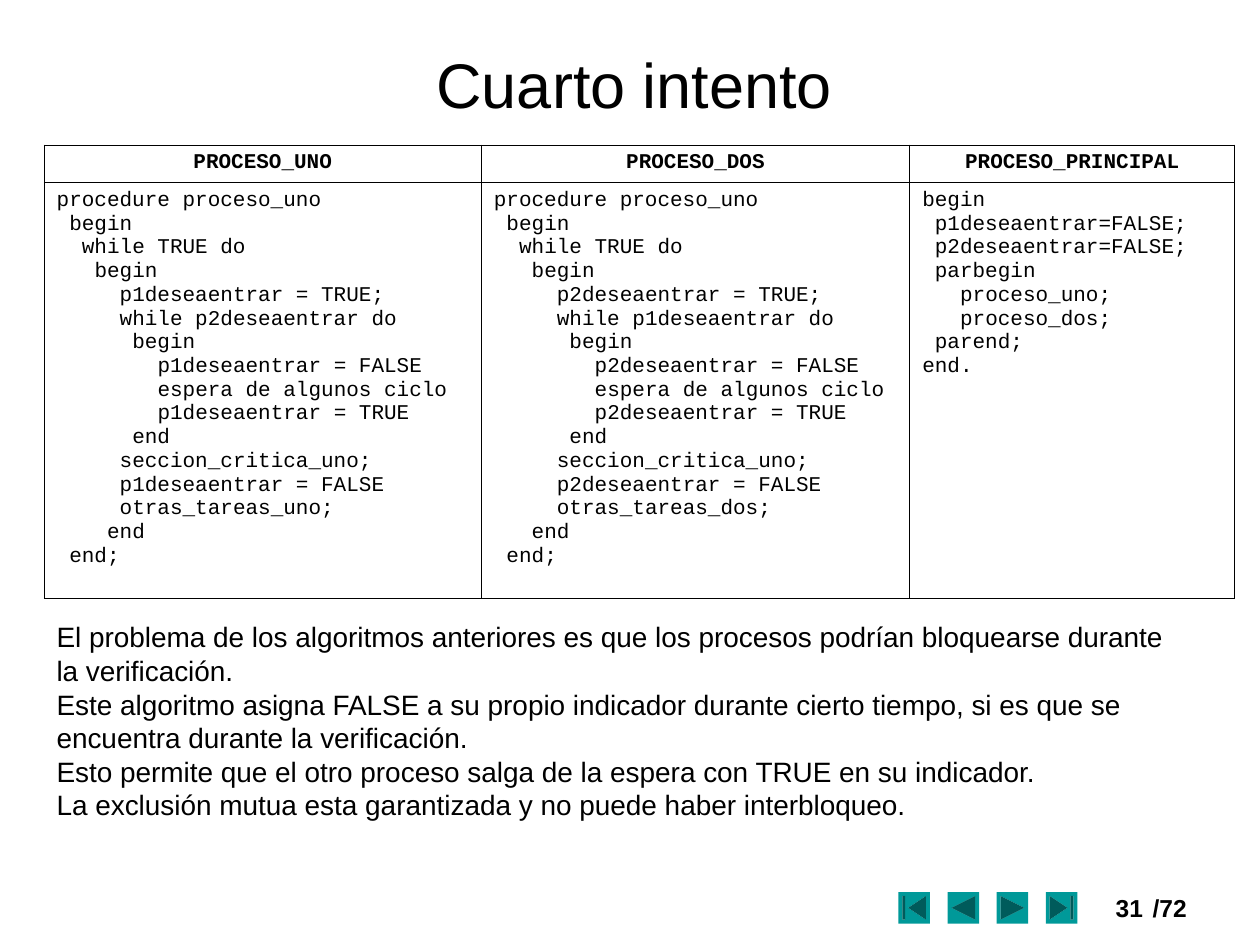
from lxml.etree import SubElement
from pptx import Presentation
from pptx.dml.color import RGBColor
from pptx.enum.shapes import MSO_SHAPE as Shape
from pptx.enum.text import MSO_ANCHOR as Anchor, PP_ALIGN as Align
from pptx.oxml.ns import qn
from pptx.util import Inches, Pt

BLACK = RGBColor(0x00, 0x00, 0x00)
TEAL = RGBColor(0x00, 0x99, 0x99)
CHARACTER_WIDTH = 0.1
COLUMN_WIDTHS = (3.47, 3.4, 2.58)
ROW_HEIGHTS = (0.3, 3.3)
HEADINGS = ("PROCESO_UNO", "PROCESO_DOS", "PROCESO_PRINCIPAL")
MAIN_CODE = (
    (0, "begin"),
    (1, "p1deseaentrar=FALSE;"),
    (1, "p2deseaentrar=FALSE;"),
    (1, "parbegin"),
    (3, "proceso_uno;"),
    (3, "proceso_dos;"),
    (1, "parend;"),
    (0, "end."),
)
EXPLANATION = (
    "El problema de los algoritmos anteriores es que los procesos podrían "
    "bloquearse durante la verificación.",
    "Este algoritmo asigna FALSE a su propio indicador durante cierto tiempo, "
    "si es que se encuentra durante la verificación.",
    "Esto permite que el otro proceso salga de la espera con TRUE en su indicador.",
    "La exclusión mutua esta garantizada y no puede haber interbloqueo.",
)
BUTTONS = (
    Shape.ACTION_BUTTON_BEGINNING,
    Shape.ACTION_BUTTON_BACK_OR_PREVIOUS,
    Shape.ACTION_BUTTON_FORWARD_OR_NEXT,
    Shape.ACTION_BUTTON_END,
)
TITLE_FONT = {"name": "Arial", "size": Pt(36), "bold": False}
BODY_FONT = {"name": "Arial", "size": Pt(16), "bold": False}
NUMBER_FONT = {"name": "Arial", "size": Pt(14), "bold": True}
HEADING_FONT = {"name": "Courier New", "size": Pt(12), "bold": True}
CODE_FONT = {"name": "Courier New", "size": Pt(12), "bold": False}


def process_code(own, other, task, end_depth):
    """Return the (depth, text) lines of one competing process."""
    flag = f"{own}deseaentrar"
    return (
        (0, "procedure proceso_uno"),
        (1, "begin"),
        (2, "while TRUE do"),
        (3, "begin"),
        (5, f"{flag} = TRUE;"),
        (5, f"while {other}deseaentrar do"),
        (6, "begin"),
        (8, f"{flag} = FALSE"),
        (8, "espera de algunos ciclo"),
        (8, f"{flag} = TRUE"),
        (6, "end"),
        (5, "seccion_critica_uno;"),
        (5, f"{flag} = FALSE"),
        (5, f"otras_tareas_{task};"),
        (end_depth, "end"),
        (1, "end;"),
    )


def write_lines(frame, lines, font, align=Align.LEFT):
    """Write (depth, text) lines as paragraphs indented by their depth."""
    for index, (depth, text) in enumerate(lines):
        para = frame.paragraphs[0] if index == 0 else frame.add_paragraph()
        para.alignment = align
        if depth:
            para._p.get_or_add_pPr().set("marL", str(Inches(depth * CHARACTER_WIDTH)))
        span = para.add_run()
        span.text = text
        for name, value in font.items():
            setattr(span.font, name, value)
        span.font.color.rgb = BLACK


def add_text(page, place, texts, font, align=Align.LEFT, anchor=Anchor.TOP, inset=None):
    """Add a wrapping text box with one paragraph for each text."""
    box = page.shapes.add_textbox(*map(Inches, place))
    frame = box.text_frame
    frame.word_wrap = True
    frame.vertical_anchor = anchor
    if inset is not None:
        for side in ("left", "top", "right", "bottom"):
            setattr(frame, f"margin_{side}", Inches(inset))
    write_lines(frame, [(0, text) for text in texts], font, align)


def style_cell(cell):
    """Clear the fill of a cell and give it thin black borders."""
    properties = cell._tc.get_or_add_tcPr()
    for tag in ("a:lnL", "a:lnR", "a:lnT", "a:lnB"):
        border = SubElement(properties, qn(tag), w=str(Pt(0.45)))
        fill = SubElement(border, qn("a:solidFill"))
        SubElement(fill, qn("a:srgbClr"), val=str(BLACK))
    cell.fill.background()


def add_code_table(page):
    """Add the table that sets the three processes side by side."""
    place = (0.35, 1.15, sum(COLUMN_WIDTHS), sum(ROW_HEIGHTS))
    table = page.shapes.add_table(2, 3, *map(Inches, place)).table
    table.first_row = table.horz_banding = False
    for column, width in zip(table.columns, COLUMN_WIDTHS):
        column.width = Inches(width)
    for row, height in zip(table.rows, ROW_HEIGHTS):
        row.height = Inches(height)
    listings = (
        process_code("p1", "p2", "uno", 4),
        process_code("p2", "p1", "dos", 3),
        MAIN_CODE,
    )
    for column, (heading, listing) in enumerate(zip(HEADINGS, listings)):
        top, bottom = table.cell(0, column), table.cell(1, column)
        write_lines(top.text_frame, [(0, heading)], HEADING_FONT, Align.CENTER)
        write_lines(bottom.text_frame, listing, CODE_FONT)
        style_cell(top)
        style_cell(bottom)


def add_buttons(page):
    """Add the evenly spaced row of navigation buttons."""
    for index, kind in enumerate(BUTTONS):
        place = (7.13 + 0.39 * index, 7.08, 0.25, 0.25)
        button = page.shapes.add_shape(kind, *map(Inches, place))
        button.shadow.inherit = False
        button.fill.solid()
        button.fill.fore_color.rgb = TEAL
        button.line.fill.background()


def main():
    """Build the slide and save it."""
    deck = Presentation()
    deck.slide_width, deck.slide_height = Inches(10), Inches(7.5)
    page = deck.slides.add_slide(deck.slide_layouts[6])
    add_text(page, (8.63, 7.04, 0.54, 0.33), ["31"], NUMBER_FONT, Align.RIGHT)
    add_buttons(page)
    add_text(page, (9.05, 7.04, 0.52, 0.33), ["/72"], NUMBER_FONT)
    add_text(page, (0.35, 0.34, 9.37, 0.64), ["Cuarto intento"], TITLE_FONT,
             Align.CENTER, Anchor.MIDDLE, 0.02)
    add_code_table(page)
    add_text(page, (0.35, 4.87, 9.21, 1.7), EXPLANATION, BODY_FONT,
             anchor=Anchor.MIDDLE)
    deck.save("out.pptx")


if __name__ == "__main__":
    main()
